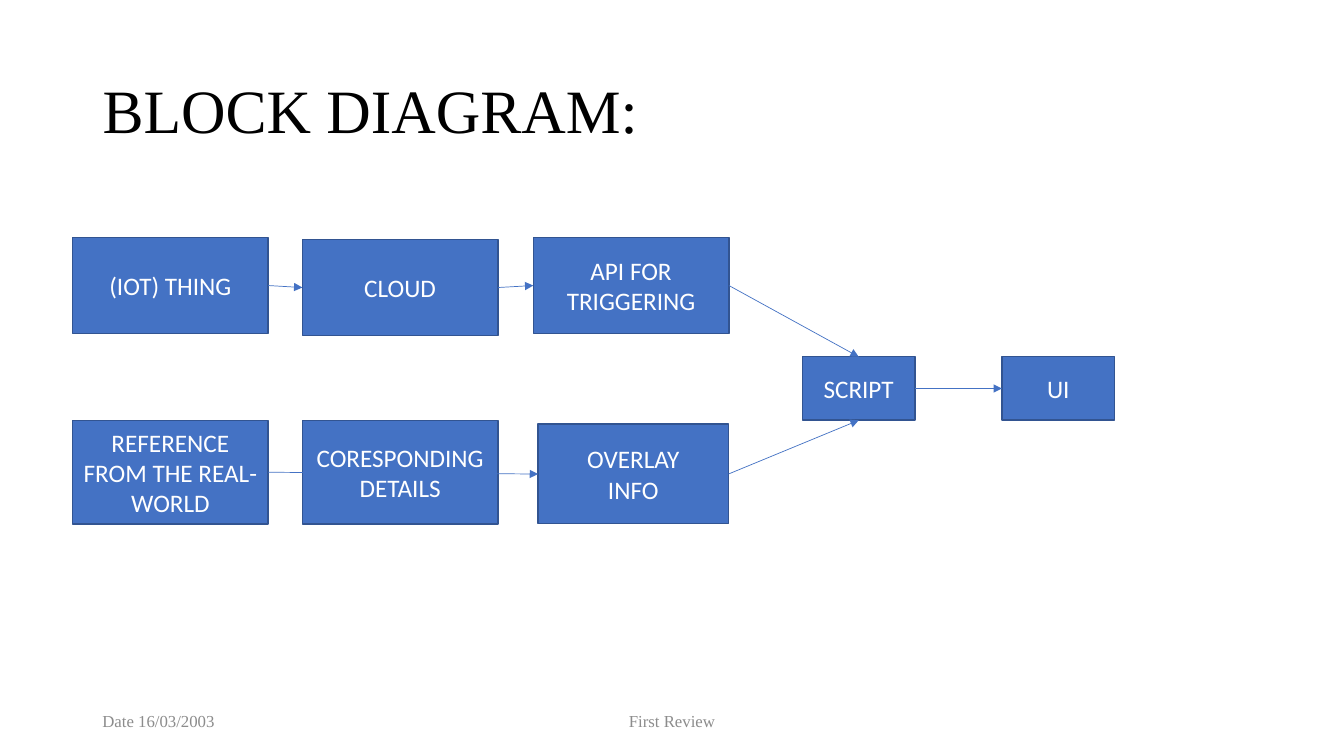
import pptx
import pptx.util
import pptx.dml.color
import pptx.enum.shapes
import pptx.enum.text
import pptx.oxml.ns
import lxml.etree

Cm = pptx.util.Cm
ALIGN = pptx.enum.text.PP_ALIGN
SERIF, SANS = "Times New Roman", "Calibri"
BLUE, DARK_BLUE, WHITE, BLACK, GREY = "4472C4", "325491", "FFFFFF", "000000", "8C8C8C"
TOP, LEFT, BOTTOM, RIGHT = range(4)


def color(hex_string):
    return pptx.dml.color.RGBColor.from_string(hex_string)


def write_text(shape, text, font=SANS, size=18, fill=WHITE, align=ALIGN.CENTER, spacing=None):
    frame = shape.text_frame
    frame.auto_size = pptx.enum.text.MSO_AUTO_SIZE.NONE
    frame.word_wrap = True
    frame.vertical_anchor = pptx.enum.text.MSO_ANCHOR.MIDDLE
    frame.text = text
    for paragraph in frame.paragraphs:
        paragraph.alignment = align
        paragraph.line_spacing = spacing
        paragraph.font.name = font
        paragraph.font.size = pptx.util.Pt(size)
        paragraph.font.color.rgb = color(fill)


def add_title(slide, left, top, width, height):
    title = slide.shapes.title
    title.left, title.top, title.width, title.height = Cm(left), Cm(top), Cm(width), Cm(height)
    write_text(title, "BLOCK DIAGRAM:", font=SERIF, size=44, fill=BLACK,
               align=ALIGN.LEFT, spacing=0.9)


def add_footer(slide, left, top, height):
    notes = [("Date 16/03/2003", 0, 7.62, ALIGN.LEFT),
             ("First Review", 8.89, 11.43, ALIGN.CENTER)]
    for text, offset, width, align in notes:
        box = slide.shapes.add_textbox(Cm(left + offset), Cm(top), Cm(width), Cm(height))
        write_text(box, text, font=SERIF, size=12, fill=GREY, align=align)


def add_block(slide, text, left, top, width, height):
    block = slide.shapes.add_shape(pptx.enum.shapes.MSO_SHAPE.RECTANGLE,
                                   Cm(left), Cm(top), Cm(width), Cm(height))
    block.shadow.inherit = False
    block.fill.solid()
    block.fill.fore_color.rgb = color(BLUE)
    block.line.color.rgb = color(DARK_BLUE)
    block.line.width = pptx.util.Pt(1)
    write_text(block, text)
    return block


def add_arrow(slide, source, source_side, target, target_side):
    arrow = slide.shapes.add_connector(pptx.enum.shapes.MSO_CONNECTOR.STRAIGHT, 0, 0, 0, 0)
    arrow.begin_connect(source, source_side)
    arrow.end_connect(target, target_side)
    arrow.line.color.rgb = color(BLUE)
    arrow.line.width = pptx.util.Pt(0.5)
    # Arrowhead at the target, no shadow
    qn = pptx.oxml.ns.qn
    lxml.etree.SubElement(arrow.line._get_or_add_ln(), qn("a:tailEnd"), type="triangle")
    lxml.etree.SubElement(arrow._element.spPr, qn("a:effectLst"))


def add_diagram(slide, left, top):
    # Offsets from the diagram's corner, then width and height
    layout = {
        "thing": ("(IOT) THING", 0, 0, 4.93, 2.41),
        "cloud": ("CLOUD", 5.79, 0.05, 4.93, 2.41),
        "api": ("API FOR TRIGGERING", 11.61, 0, 4.93, 2.41),
        "reference": ("REFERENCE\nFROM THE REAL-WORLD", 0, 4.6, 4.93, 2.62),
        "details": ("CORESPONDING DETAILS", 5.79, 4.6, 4.93, 2.62),
        "overlay": ("OVERLAY\nINFO", 11.73, 4.7, 4.8, 2.51),
        "script": ("SCRIPT", 18.39, 3, 2.84, 1.6),
        "ui": ("UI", 23.42, 3, 2.84, 1.6),
    }
    blocks = {name: add_block(slide, text, left + x, top + y, width, height)
              for name, (text, x, y, width, height) in layout.items()}
    # Flow between the blocks
    flow = [("thing", "cloud", LEFT), ("cloud", "api", LEFT), ("reference", "overlay", LEFT),
            ("api", "script", TOP), ("overlay", "script", BOTTOM), ("script", "ui", LEFT)]
    for source, target, side in flow:
        add_arrow(slide, blocks[source], RIGHT, blocks[target], side)


def main():
    presentation = pptx.Presentation()
    presentation.slide_width, presentation.slide_height = Cm(33.87), Cm(19.05)
    slide = presentation.slides.add_slide(presentation.slide_layouts[5])
    add_title(slide, 2.33, 1.01, 29.21, 3.68)
    add_footer(slide, 2.33, 17.66, 1.01)
    add_diagram(slide, 1.83, 5.99)
    presentation.save("out.pptx")


if __name__ == "__main__":
    main()
